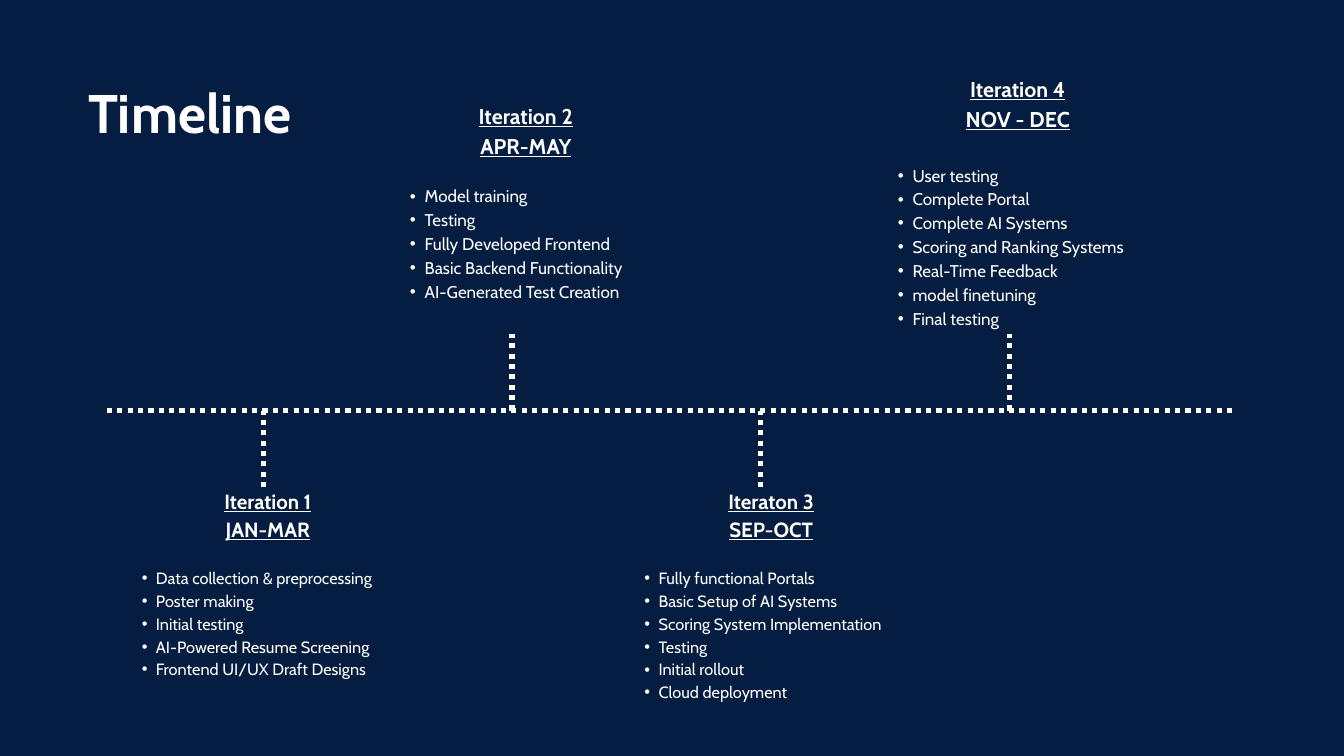
from dataclasses import dataclass

from lxml import etree
from pptx import Presentation
from pptx.dml.color import RGBColor
from pptx.enum.dml import MSO_LINE
from pptx.enum.shapes import MSO_CONNECTOR
from pptx.enum.text import MSO_ANCHOR, MSO_AUTO_SIZE, PP_ALIGN
from pptx.oxml.ns import qn
from pptx.util import Inches, Pt

STRAIGHT = MSO_CONNECTOR.STRAIGHT
DOTTED = MSO_LINE.ROUND_DOT  # written as sysDot
CENTER, JUSTIFY = PP_ALIGN.CENTER, PP_ALIGN.JUSTIFY
TOP = MSO_ANCHOR.TOP
NO_AUTOFIT = MSO_AUTO_SIZE.NONE

FONT = "Cabin"
COLORS = {"background": "051D40", "foreground": "FFFFFF"}
AXIS_Y = 6.11
AXIS_LEFT, AXIS_RIGHT = 1.59, 18.41
FIRST_STEM_X, STEM_GAP, STEM_LENGTH = 3.92, 3.7, 1.14


@dataclass(frozen=True)
class TextStyle:
    heading_size: float
    heading_leading: float
    item_size: float
    item_leading: float
    indent: float
    hanging: float


@dataclass(frozen=True)
class Iteration:
    name: str
    months: str
    items: tuple[str, ...]
    box: tuple[float, float, float, float]
    style: TextStyle
    gap: float  # points between the heading and the list


BELOW = TextStyle(22, 30.8, 17.5, 24.5, 0.41, 0.21)
ABOVE = TextStyle(22.9, 32.1, 18.2, 25.5, 0.43, 0.22)

ITERATIONS = (
    Iteration("Iteration 1", "JAN-MAR", (
        "Data collection & preprocessing",
        "Poster making",
        "Initial testing",
        "AI-Powered Resume Screening",
        "Frontend UI/UX Draft Designs",
    ), (1.91, 7.21, 4.15, 2.86), BELOW, 24.5),
    Iteration("Iteration 2", "APR-MAY", (
        "Model training",
        "Testing",
        "Fully Developed Frontend",
        "Basic Backend Functionality",
        "AI-Generated Test Creation",
    ), (5.89, 1.47, 3.87, 2.98), ABOVE, 25.5),
    Iteration("Iteraton 3", "SEP-OCT", (
        "Fully functional Portals",
        "Basic Setup of AI Systems",
        "Scoring System Implementation",
        "Testing",
        "Initial rollout",
        "Cloud deployment",
    ), (9.39, 7.21, 4.17, 3.19), BELOW, 24.5),
    Iteration("Iteration 4", "NOV - DEC", (
        "User testing",
        "Complete Portal",
        "Complete AI Systems",
        "Scoring and Ranking Systems",
        "Real-Time Feedback",
        "model finetuning",
        "Final testing",
    ), (13.15, 1.07, 3.99, 3.78), ABOVE, 32.1),
)


def color(name: str) -> RGBColor:
    return RGBColor.from_string(COLORS[name])


def prepare_frame(tf) -> None:
    tf.margin_left = tf.margin_right = tf.margin_top = tf.margin_bottom = 0
    tf.word_wrap = True
    tf.auto_size = NO_AUTOFIT
    tf.vertical_anchor = TOP


def fill_paragraph(p, text: str, size: float, leading: float, align,
                   bold: bool = False, underline: bool = False) -> None:
    p.alignment = align
    p.line_spacing = Pt(leading)
    p.space_before = Pt(0)
    r = p.add_run()
    r.text = text
    r.font.name = FONT
    r.font.size = Pt(size)
    r.font.bold = bold
    r.font.underline = underline
    r.font.color.rgb = color("foreground")


def add_bullet(p, indent: float, hanging: float) -> None:
    p.level = 1
    pPr = p._p.get_or_add_pPr()
    pPr.set("marL", str(Inches(indent)))
    pPr.set("indent", str(-Inches(hanging)))
    etree.SubElement(pPr, qn("a:buFont")).set("typeface", "Arial")
    etree.SubElement(pPr, qn("a:buChar")).set("char", "•")


def add_dotted_line(s, x1: float, y1: float, x2: float, y2: float) -> None:
    line = s.shapes.add_connector(
        STRAIGHT, Inches(x1), Inches(y1), Inches(x2), Inches(y2))
    line.line.color.rgb = color("foreground")
    line.line.width = Pt(5.56)
    line.line.dash_style = DOTTED
    etree.SubElement(line._element.spPr, qn("a:effectLst"))


def add_title(s, text: str) -> None:
    sp = s.shapes.title
    sp.left, sp.top, sp.width, sp.height = map(Inches, (1.12, 1.01, 3.41, 1.08))
    prepare_frame(sp.text_frame)
    fill_paragraph(sp.text_frame.paragraphs[0], text, 58.2, 81.5, CENTER, bold=True)


def add_iteration(s, iteration: Iteration) -> None:
    style = iteration.style
    tf = s.shapes.add_textbox(*map(Inches, iteration.box)).text_frame
    prepare_frame(tf)
    p = tf.paragraphs[0]
    for heading in (iteration.name, iteration.months):
        if p is None:
            p = tf.add_paragraph()
        fill_paragraph(p, heading, style.heading_size, style.heading_leading,
                       CENTER, bold=True, underline=True)
        p = None
    for i, item in enumerate(iteration.items):
        p = tf.add_paragraph()
        add_bullet(p, style.indent, style.hanging)
        fill_paragraph(p, item, style.item_size, style.item_leading, JUSTIFY)
        if i == 0:
            p.space_before = Pt(iteration.gap)


def main() -> None:
    prs = Presentation()
    prs.slide_width, prs.slide_height = Inches(20), Inches(11.25)
    s = prs.slides.add_slide(prs.slide_layouts[5])
    s.background.fill.solid()
    s.background.fill.fore_color.rgb = color("background")

    add_title(s, "Timeline")
    add_dotted_line(s, AXIS_LEFT, AXIS_Y, AXIS_RIGHT, AXIS_Y)
    for i, iteration in enumerate(ITERATIONS):
        x = FIRST_STEM_X + i * STEM_GAP
        if iteration.style is BELOW:
            add_dotted_line(s, x, AXIS_Y + STEM_LENGTH, x, AXIS_Y)
        else:
            add_dotted_line(s, x, AXIS_Y, x, AXIS_Y - STEM_LENGTH)
    for iteration in ITERATIONS:
        add_iteration(s, iteration)

    prs.save("out.pptx")


if __name__ == "__main__":
    main()
